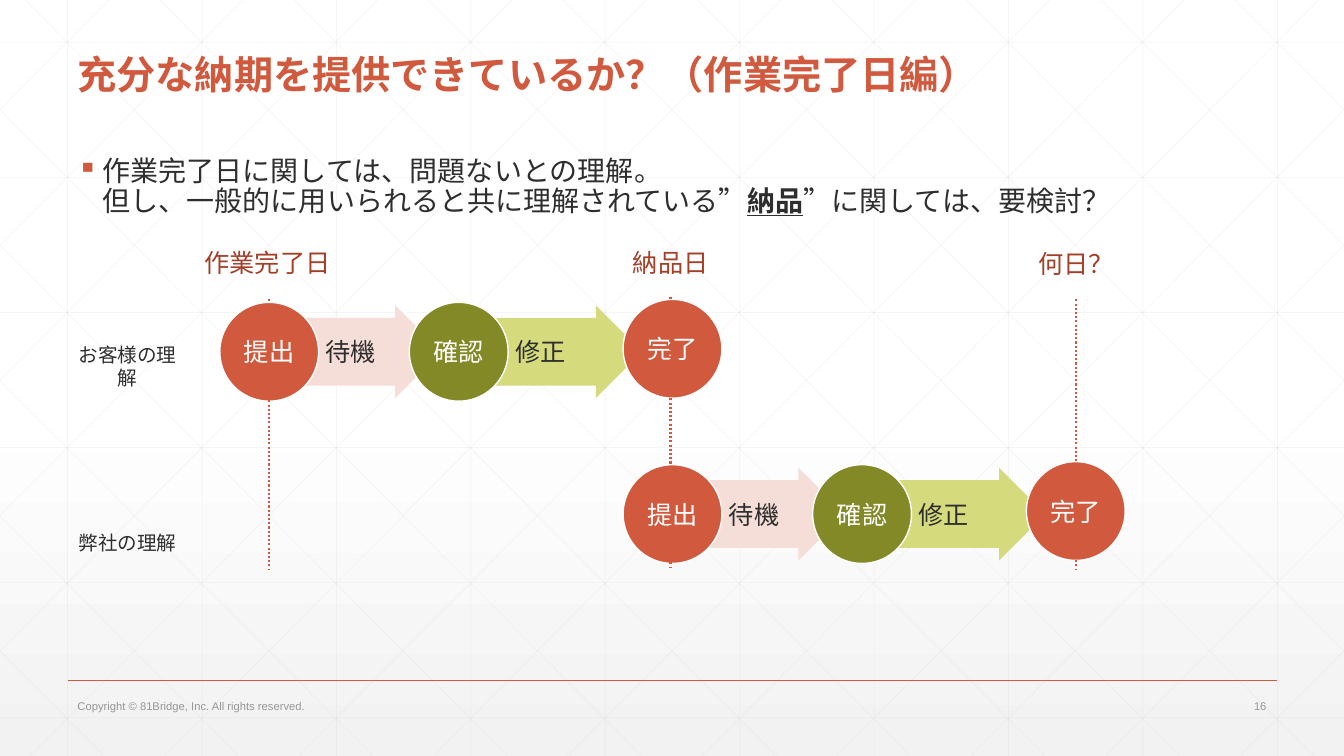
"""Build the slide on delivery dates: two readings of the same workflow."""
from lxml import etree
from pptx import Presentation
from pptx.dml.color import RGBColor
from pptx.enum.dml import MSO_LINE_DASH_STYLE as Dash
from pptx.enum.shapes import MSO_CONNECTOR as Conn, MSO_SHAPE as Shape
from pptx.enum.text import MSO_ANCHOR as Anchor, PP_ALIGN as Align
from pptx.oxml.ns import qn
from pptx.util import Inches, Pt

TITLE = "充分な納期を提供できているか？（作業完了日編）"
BODY = [
    ("作業完了日に関しては、問題ないとの理解。\n但し、一般的に用いられると共に理解されている”", False),
    ("納品", True),
    ("”に関しては、要検討？", False),
]
DATES = [("作業完了日", 1.93, 2.4), ("納品日", 6.18, 2.4), ("何日？", 10.2, 2.41)]
DATE_LINES = [(2.67, 2.97), (6.65, 2.95), (10.67, 2.97)]
DATE_LINE_LENGTH = 2.68
READINGS = [("お客様の理解", 3.35), ("弊社の理解", 5.22)]
FLOW_STARTS = [(2.18, 2.97), (6.18, 4.58)]
FLOW = [
    ("arrow", "待機", 0.5, 0.06, 1.7, "blush"),
    ("circle", "提出", 0, 0.03, 0.98, "accent"),
    ("arrow", "修正", 2.38, 0.06, 1.81, "lime"),
    ("circle", "確認", 1.88, 0.03, 0.98, "olive"),
    ("circle", "完了", 4, 0, 0.98, "accent"),
]
COPYRIGHT = "Copyright © 81Bridge, Inc. All rights reserved."
PAGE = "16"

THEME = {
    "color": {
        "accent": "D15A3E", "dark_accent": "A43F27", "text": "2D2E2D",
        "muted": "959795", "blush": "F6DED8", "lime": "D5DB7D",
        "olive": "828926", "white": "FFFFFF", "shade": "F2F2F2", "grid": "D9D9D9",
    },
    "size": {"title": 28, "body": 20, "label": 18, "reading": 14, "footer": 8},
    "cjk": "Noto Sans CJK JP",
    "latin": "Arial",
}
WIDTH, HEIGHT = 13.33, 7.5
STEP_X, STEP_Y = 4 / 3, 1.34
DIAGONAL_RUN = 7.45


def rgb(name):
    return RGBColor.from_string(THEME["color"][name])


def write(tf, text, size="label", color="text", font="latin", align=Align.LEFT,
          anchor=Anchor.TOP, bold=False, spacing=None, bullet=None, insets=None):
    """Fill a text frame with a string or (text, emphasised) runs."""
    tf.word_wrap = True
    tf.vertical_anchor = anchor
    if insets:
        tf.margin_left, tf.margin_top, tf.margin_right, tf.margin_bottom = map(Inches, insets)
    p = tf.paragraphs[0]
    p.alignment = align
    if spacing:
        p.line_spacing = spacing
    if bullet:
        ppr = p._p.get_or_add_pPr()
        ppr.set("marL", str(Inches(0.25)))
        ppr.set("indent", str(-Inches(0.25)))
        tint = etree.SubElement(ppr, qn("a:buClr"))
        etree.SubElement(tint, qn("a:srgbClr"), val=THEME["color"]["accent"])
        etree.SubElement(ppr, qn("a:buChar"), char=bullet)
    runs = [(text, False)] if isinstance(text, str) else text
    for content, strong in runs:
        for i, line in enumerate(content.split("\n")):
            if i:
                p.add_line_break()
            r = p.add_run()
            r.text = line
            r.font.size = Pt(THEME["size"][size])
            r.font.name = THEME[font]
            r.font.color.rgb = rgb(color)
            r.font.bold = bold or strong
            r.font.underline = strong
            if font == "cjk":
                etree.SubElement(r._r.get_or_add_rPr(), qn("a:ea"), typeface=THEME["cjk"])


def add_text(slide, box, text, **style):
    sp = slide.shapes.add_textbox(*map(Inches, box))
    write(sp.text_frame, text, **style)


def add_line(slide, x1, y1, x2, y2, color="accent", width=1, dash=None, alpha=None):
    line = slide.shapes.add_connector(Conn.STRAIGHT, *map(Inches, (x1, y1, x2, y2)))
    line.line.color.rgb = rgb(color)
    line.line.width = Pt(width)
    if dash:
        line.line.dash_style = dash
    sppr = line._element.spPr
    if alpha:
        tint = sppr.find(".//" + qn("a:srgbClr"))
        etree.SubElement(tint, qn("a:alpha"), val=str(alpha * 1000))
    etree.SubElement(sppr, qn("a:effectLst"))


def add_background(slide):
    fill = slide.background.fill
    fill.gradient()
    fill.gradient_angle = 270
    for stop, color, position in zip(fill.gradient_stops, ("white", "shade"), (0.53, 1)):
        stop.color.rgb = rgb(color)
        stop.position = position


def add_grid(slide):
    xs = [0.67 + STEP_X * i for i in range(10)]
    ys = [0.42 + STEP_Y * i for i in range(6)]
    lines = [(x, 0, x, HEIGHT) for x in xs] + [(0, y, WIDTH, y) for y in ys]
    slope = HEIGHT / DIAGONAL_RUN
    for i in range(-5, 10):
        start = 0.25 + STEP_X * i
        x1, x2 = max(start, 0), min(start + DIAGONAL_RUN, WIDTH)
        y1, y2 = (x1 - start) * slope, (x2 - start) * slope
        lines += [(x1, y1, x2, y2), (WIDTH - x1, y1, WIDTH - x2, y2)]
    for ends in lines:
        add_line(slide, *ends, color="grid", width=0.5, alpha=25)


def add_step(slide, kind, text, x, y, width, color):
    circle = kind == "circle"
    preset, height = (Shape.OVAL, width) if circle else (Shape.RIGHT_ARROW, 0.92)
    sp = slide.shapes.add_shape(preset, *map(Inches, (x, y, width, height)))
    sp.shadow.inherit = False
    sp.fill.solid()
    sp.fill.fore_color.rgb = rgb(color)
    if circle:
        sp.line.color.rgb = rgb("white")
        sp.line.width = Pt(1)
        write(sp.text_frame, text, color="white", align=Align.CENTER,
              anchor=Anchor.MIDDLE, insets=(0, 0, 0, 0))
    else:
        sp.line.fill.background()
        sp.adjustments[0], sp.adjustments[1] = 0.73, 0.5
        write(sp.text_frame, text, anchor=Anchor.MIDDLE, insets=(0.55, 0.05, 0, 0.05))


def main():
    prs = Presentation()
    prs.slide_width, prs.slide_height = Inches(WIDTH), Inches(HEIGHT)
    slide = prs.slides.add_slide(prs.slide_layouts[6])
    add_background(slide)
    add_grid(slide)
    add_line(slide, 0.67, 6.75, 12.67, 6.75)
    add_text(slide, (0.67, 0.42, 12, 0.6), TITLE, size="title", color="accent",
             font="cjk", bold=True, anchor=Anchor.BOTTOM, spacing=0.9)
    add_text(slide, (0.67, 1.51, 12, 0.8), BODY, size="body", font="cjk",
             spacing=0.9, bullet="▪")
    for text, x, y in DATES:
        add_text(slide, (x, y, 1.6, 0.4), text, color="dark_accent")
    for text, y in READINGS:
        add_text(slide, (0.59, y, 1.35, 0.55), text, size="reading", font="cjk",
                 align=Align.CENTER)
    for left, top in FLOW_STARTS:
        for kind, text, dx, dy, width, color in FLOW:
            add_step(slide, kind, text, left + dx, top + dy, width, color)
    for x, y in DATE_LINES:
        add_line(slide, x, y, x, y + DATE_LINE_LENGTH, width=1.5, dash=Dash.ROUND_DOT)
    footer = {"size": "footer", "color": "muted", "anchor": Anchor.MIDDLE}
    add_text(slide, (0.67, 6.88, 6.7, 0.24), COPYRIGHT, **footer)
    add_text(slide, (11.66, 6.88, 1, 0.24), PAGE, align=Align.RIGHT, **footer)
    prs.save("out.pptx")


if __name__ == "__main__":
    main()
